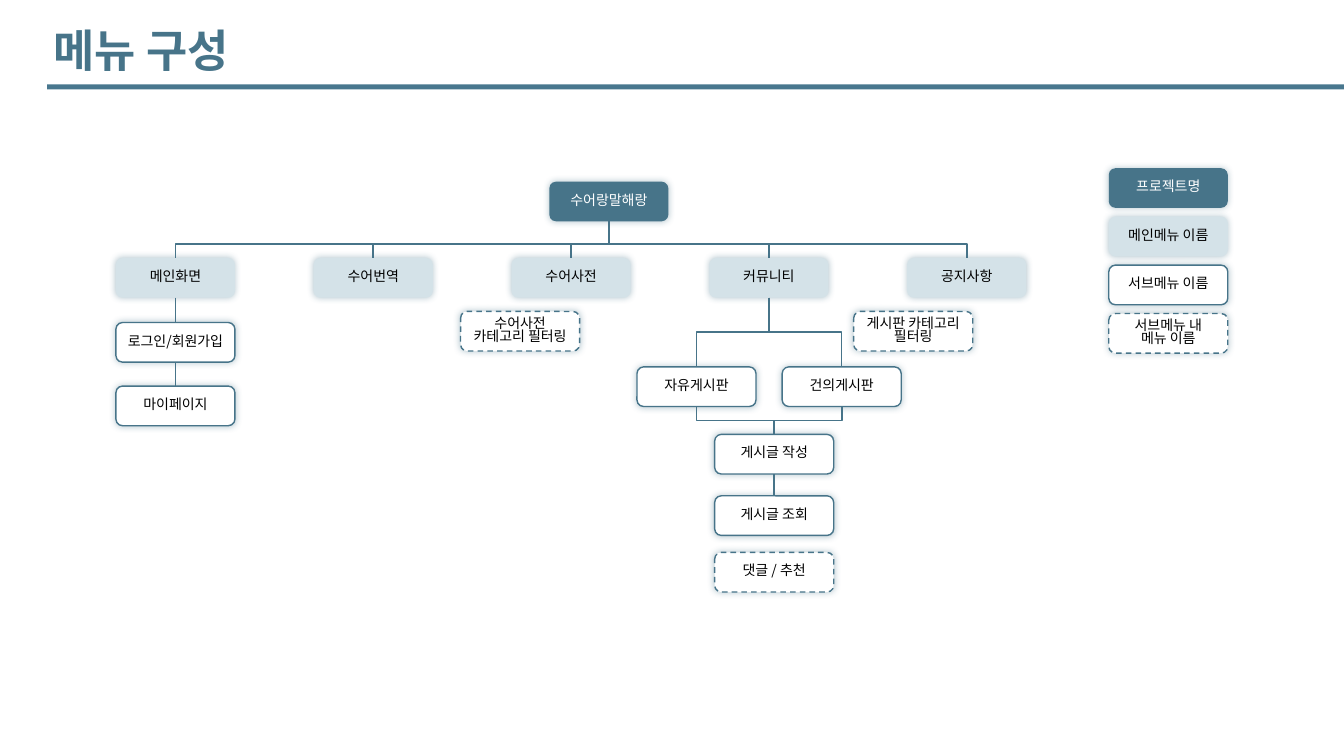
import pptx
import pptx.dml.color
import pptx.enum.dml
import pptx.enum.shapes
import pptx.enum.text
import pptx.oxml
import pptx.oxml.ns
import pptx.util

Pt = pptx.util.Pt
FONT = "Noto Sans CJK KR"
TEAL, PALE, WHITE, BLACK = "477489", "D4E2E8", "FFFFFF", "000000"

TITLE = "메뉴 구성"
BOX_W, BOX_H = 85, 28.3
LEGEND_LEFT, LEGEND_TOP, LEGEND_STEP = 792, 120.2, 34.6
MENU_LEFT, MENU_TOP, MENU_STEP = 82.8, 184.3, 141.3

# kind: fill, text colour, outlined, dashed
STYLES = {
    "project": (TEAL, WHITE, False, False),
    "main": (PALE, BLACK, False, False),
    "sub": (WHITE, BLACK, True, False),
    "inner": (WHITE, BLACK, True, True),
}
LEGEND = [
    ("프로젝트명", "project"),
    ("메인메뉴 이름", "main"),
    ("서브메뉴 이름", "sub"),
    ("서브메뉴 내\n메뉴 이름", "inner"),
]
PROJECT = "수어랑말해랑"
MAIN_MENUS = ["메인화면", "수어번역", "수어사전", "커뮤니티", "공지사항"]
# text, kind, left, top
SUBMENUS = [
    ("로그인/회원가입", "sub", MENU_LEFT, 230.4),
    ("마이페이지", "sub", MENU_LEFT, 275.8),
    ("자유게시판", "sub", 455, 262.1),
    ("건의게시판", "sub", 558.7, 262.1),
    ("게시글 작성", "sub", 510.5, 310.3),
    ("게시글 조회", "sub", 510.5, 354.2),
    ("댓글 / 추천", "inner", 510.5, 394.6),
    ("수어사전\n카테고리 필터링", "inner", 329, 222.5),
    ("게시판 카테고리\n필터링", "inner", 609.8, 222.5),
]
STRAIGHT_LINKS = [
    ("메인화면", "로그인/회원가입"),
    ("로그인/회원가입", "마이페이지"),
    ("게시글 작성", "게시글 조회"),
]
# upper box, lower box, share of the drop at which the line bends
BENT_LINKS = [(PROJECT, menu, 0.62) for menu in MAIN_MENUS] + [
    ("커뮤니티", "자유게시판", 0.5),
    ("커뮤니티", "건의게시판", 0.5),
    ("자유게시판", "게시글 작성", 0.5),
    ("건의게시판", "게시글 작성", 0.5),
]


def rgb(code):
    return pptx.dml.color.RGBColor.from_string(code)


def write(frame, text, size=10, color=BLACK, bold=False, align="CENTER", spacing=0.8):
    frame.text = text
    for paragraph in frame.paragraphs:
        paragraph.alignment = getattr(pptx.enum.text.PP_ALIGN, align)
        paragraph.line_spacing = spacing
        for run in paragraph.runs:
            run.font.size = Pt(size)
            run.font.bold = bold
            run.font.name = FONT
            run.font.color.rgb = rgb(color)
            east_asian = pptx.oxml.parse_xml(
                f'<a:ea {pptx.oxml.ns.nsdecls("a")} typeface="{FONT}"/>')
            run.font._element.find(pptx.oxml.ns.qn("a:latin")).addnext(east_asian)


def add_glow_shadow(shape):
    """Replace the theme shadow with a soft one that spreads on all sides."""
    shape.shadow.inherit = False
    effects = shape._element.spPr.find(pptx.oxml.ns.qn("a:effectLst"))
    effects.append(pptx.oxml.parse_xml(
        f'<a:outerShdw {pptx.oxml.ns.nsdecls("a")} blurRad="{Pt(5)}" dist="0" dir="0" '
        f'algn="ctr" rotWithShape="0"><a:srgbClr val="{TEAL}">'
        '<a:alpha val="40000"/></a:srgbClr></a:outerShdw>'))


def add_menu_box(slide, text, kind, left, top):
    fill, color, outlined, dashed = STYLES[kind]
    box = slide.shapes.add_shape(
        pptx.enum.shapes.MSO_SHAPE.ROUNDED_RECTANGLE, Pt(left), Pt(top), Pt(BOX_W), Pt(BOX_H))
    box.adjustments[0] = 0.167
    box.fill.solid()
    box.fill.fore_color.rgb = rgb(fill)
    if outlined:
        box.line.color.rgb = rgb(TEAL)
        box.line.width = Pt(1)
    else:
        box.line.fill.background()
    if dashed:
        box.line.dash_style = pptx.enum.dml.MSO_LINE.DASH
    add_glow_shadow(box)
    frame = box.text_frame
    frame.word_wrap = True
    frame.vertical_anchor = pptx.enum.text.MSO_ANCHOR.MIDDLE
    frame.margin_left = frame.margin_right = frame.margin_top = Pt(3)
    frame.margin_bottom = Pt(3.5)
    write(frame, text, color=color)
    return box


def add_link(slide, upper, lower, bend=None):
    """Join bottom of upper to top of lower; bend makes it an elbow."""
    kinds = pptx.enum.shapes.MSO_CONNECTOR
    link = slide.shapes.add_connector(
        kinds.STRAIGHT if bend is None else kinds.ELBOW, 0, 0, 0, 0)
    link.begin_connect(upper, 2)
    link.end_connect(lower, 0)
    link.line.color.rgb = rgb(TEAL)
    link.line.width = Pt(1.2)
    properties = link._element.spPr
    properties.append(pptx.oxml.parse_xml(f'<a:effectLst {pptx.oxml.ns.nsdecls("a")}/>'))
    if bend is None:
        return
    # A quarter turn makes the elbow leave and arrive vertically.
    start_x, start_y = upper.left + upper.width // 2, upper.top + upper.height
    end_x, end_y = lower.left + lower.width // 2, lower.top
    drop, reach = end_y - start_y, abs(end_x - start_x)
    link.left = (start_x + end_x - drop) // 2
    link.top = (start_y + end_y - reach) // 2
    link.width, link.height = drop, reach
    transform = properties.find(pptx.oxml.ns.qn("a:xfrm"))
    transform.set("rot", "5400000")
    transform.set("flipH", "0")
    transform.set("flipV", "1" if end_x > start_x else "0")
    geometry = properties.find(pptx.oxml.ns.qn("a:prstGeom"))
    for old in geometry.findall(pptx.oxml.ns.qn("a:avLst")):
        geometry.remove(old)
    geometry.append(pptx.oxml.parse_xml(
        f'<a:avLst {pptx.oxml.ns.nsdecls("a")}>'
        f'<a:gd name="adj1" fmla="val {round(bend * 100000)}"/></a:avLst>'))


def add_heading(slide):
    title = slide.shapes.title
    title.left, title.top, title.width, title.height = Pt(31), Pt(18.7), Pt(144.7), Pt(45.4)
    frame = title.text_frame
    frame.word_wrap = False
    frame.auto_size = pptx.enum.text.MSO_AUTO_SIZE.SHAPE_TO_FIT_TEXT
    frame.vertical_anchor = pptx.enum.text.MSO_ANCHOR.TOP
    write(frame, TITLE, size=32, color=TEAL, bold=True, align="LEFT", spacing=0.85)
    rule = slide.shapes.add_shape(
        pptx.enum.shapes.MSO_SHAPE.RECTANGLE, Pt(33.6), Pt(60.3), Pt(926.4), Pt(3.6))
    rule.fill.solid()
    rule.fill.fore_color.rgb = rgb("48778E")
    rule.line.fill.background()
    rule.shadow.inherit = False


def main():
    deck = pptx.Presentation()
    deck.slide_width, deck.slide_height = Pt(960), Pt(540)
    slide = deck.slides.add_slide(deck.slide_layouts[5])
    add_heading(slide)

    for row, (text, kind) in enumerate(LEGEND):
        add_menu_box(slide, text, kind, LEGEND_LEFT, LEGEND_TOP + row * LEGEND_STEP)

    boxes = {PROJECT: add_menu_box(slide, PROJECT, "project", 392.4, 129.8)}
    for column, menu in enumerate(MAIN_MENUS):
        boxes[menu] = add_menu_box(
            slide, menu, "main", MENU_LEFT + column * MENU_STEP, MENU_TOP)
    for text, kind, left, top in SUBMENUS:
        boxes[text] = add_menu_box(slide, text, kind, left, top)

    for upper, lower in STRAIGHT_LINKS:
        add_link(slide, boxes[upper], boxes[lower])
    for upper, lower, bend in BENT_LINKS:
        add_link(slide, boxes[upper], boxes[lower], bend)
    deck.save("out.pptx")


if __name__ == "__main__":
    main()
